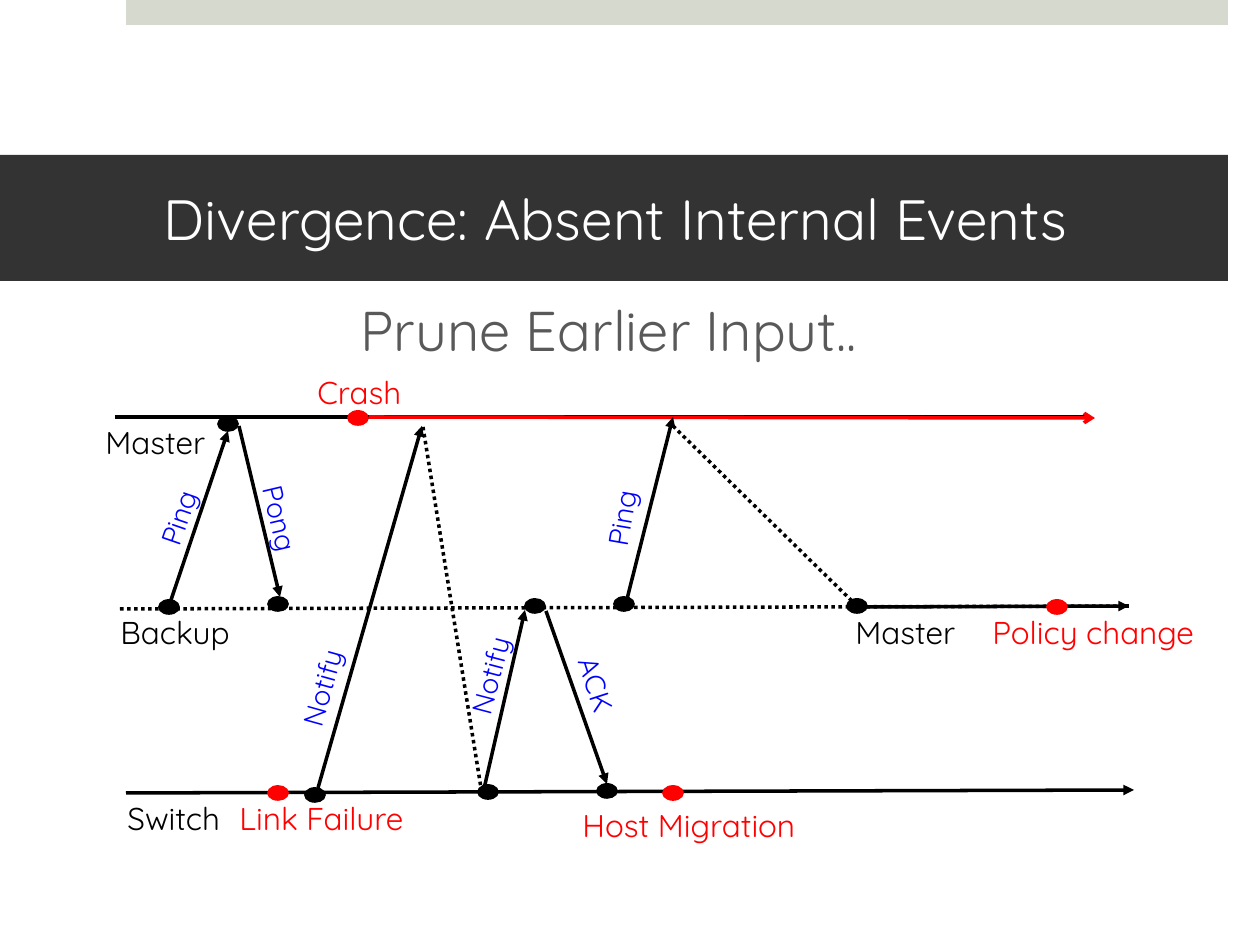
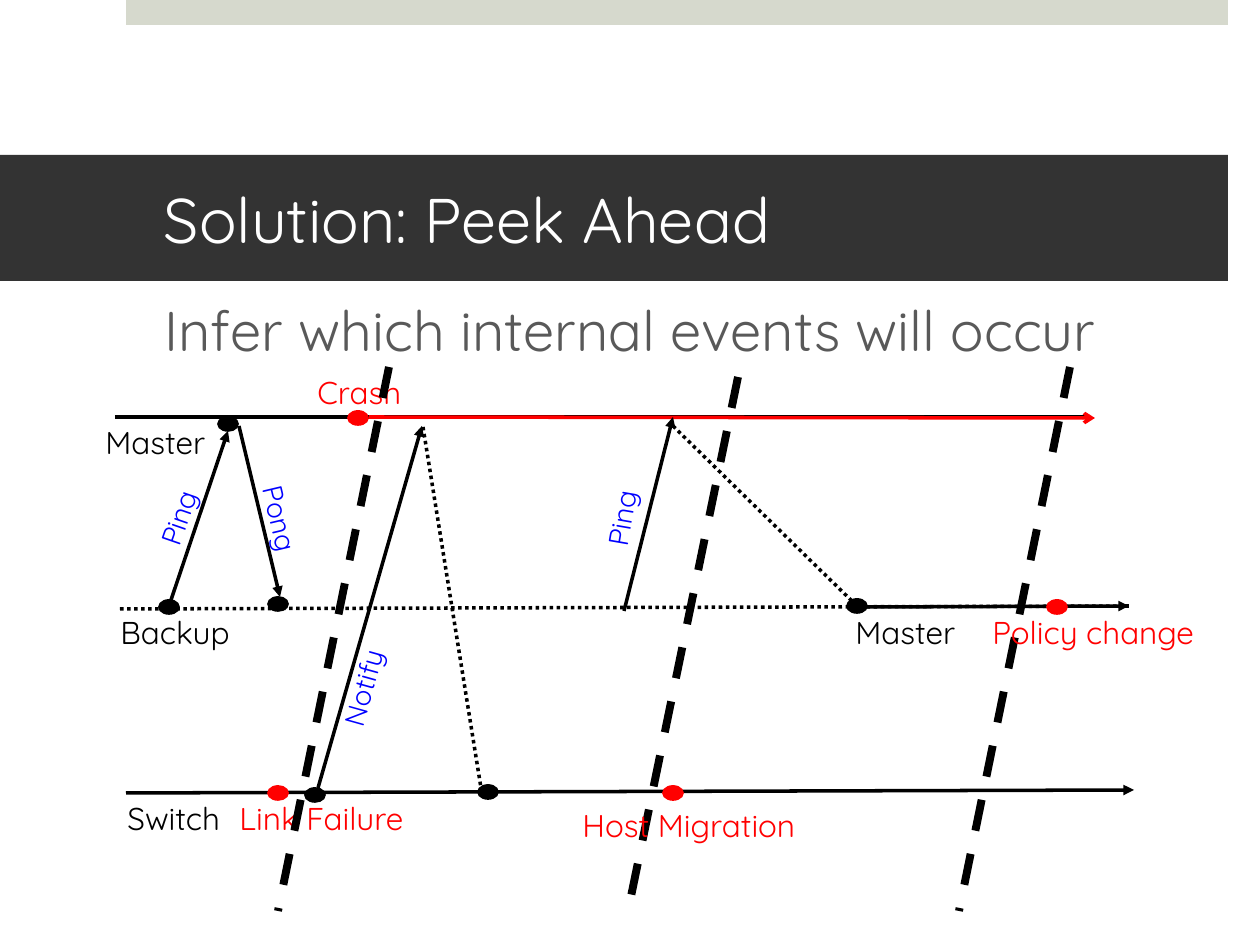
"""Build two slides that show message timelines between a master, a backup and a switch."""
from dataclasses import dataclass

from lxml.etree import SubElement
from pptx import Presentation
from pptx.dml.color import RGBColor as Rgb
from pptx.enum.dml import MSO_LINE as Dash
from pptx.enum.shapes import MSO_CONNECTOR as Connector, MSO_SHAPE as Preset
from pptx.enum.text import MSO_ANCHOR as Anchor, PP_ALIGN as Align
from pptx.oxml.ns import qn
from pptx.util import Pt

PIXEL = 914400 / 126


@dataclass(frozen=True)
class Theme:
    font: str = "Quicksand"
    strip: Rgb = Rgb(0xD6, 0xD9, 0xCD)
    band: Rgb = Rgb(0x33, 0x33, 0x33)
    white: Rgb = Rgb(0xFF, 0xFF, 0xFF)
    subtitle: Rgb = Rgb(0x59, 0x59, 0x59)
    black: Rgb = Rgb(0, 0, 0)
    red: Rgb = Rgb(0xFF, 0, 0)
    blue: Rgb = Rgb(0, 0, 0xFF)
    subtitle_size: float = 32
    label_size: float = 18
    message_size: float = 16
    line_width: float = 2
    cut_width: float = 4.5


theme = Theme()


def write(shape, text, size, color, **frame_format):
    frame = shape.text_frame
    for name, value in frame_format.items():
        setattr(frame, name, value)
    paragraph = frame.paragraphs[0]
    paragraph.alignment = Align.LEFT
    run = paragraph.add_run()
    run.text = text
    for name, value in {"name": theme.font, "size": Pt(size)}.items():
        setattr(run.font, name, value)
    run.font.color.rgb = color


def connect(slide, ends, color=theme.black, width=theme.line_width, dash=None, head=None):
    line = slide.shapes.add_connector(Connector.STRAIGHT, *[round(end * PIXEL) for end in ends])
    line.line.color.rgb = color
    for name, value in {"width": Pt(width), "dash_style": dash}.items():
        setattr(line.line, name, value)
    properties = line.element.spPr
    if head:
        SubElement(properties.find(qn("a:ln")), qn("a:tailEnd"), type=head)
    SubElement(properties, qn("a:effectLst"))


title_format = {
    "word_wrap": True,
    "vertical_anchor": Anchor.MIDDLE,
    "margin_left": round(164 * PIXEL),
    "margin_right": round(38 * PIXEL),
    "margin_top": round(6 * PIXEL),
    "margin_bottom": round(6 * PIXEL),
}

solid = {"head": "triangle"}
dotted = {"dash": Dash.ROUND_DOT}
timelines = [
    ((126, 793, 1134, 790), solid),
    ((115, 417, 1087, 417), {}),
    ((120, 609, 1129, 606), solid | dotted),
    ((369, 417, 1095, 418), {"color": theme.red, "head": "arrow"}),
    ((867, 607, 1129, 606), {}),
]
lost_replies = [(423, 427, 481, 788), (673, 426, 857, 606)]
shared_arrows = [
    (169, 606, 228, 431),
    (239, 426, 280, 597),
    (624, 611, 673, 417),
    (318, 788, 422, 426),
]
shared_messages = [
    ("Ping", 137, 493, 84, 289.1),
    ("Pong", 232, 498, 97, 76.7),
    ("Ping", 580, 493, 84, 279.8),
]
internal_events = [(228, 424), (169, 607), (278, 604), (315, 795), (488, 792), (857, 606)]
external_events = [(278, 793), (358, 418), (673, 793), (1057, 607)]
early_labels = [
    ("Master", 93, 417, 130, theme.black),
    ("Backup", 108, 607, 144, theme.black),
    ("Switch", 115, 793, 125, theme.black),
    ("Crash", 305, 367, 115, theme.red),
    ("Link Failure", 227, 793, 190, theme.red),
]
late_labels = [
    ("Master", 843, 607, 130, theme.black),
    ("Policy change", 980, 607, 247, theme.red),
    ("Host Migration", 570, 800, 246, theme.red),
]

scenes = [
    {
        "title": "Divergence: Absent Internal Events",
        "title_size": 32.4,
        "subtitle": "Prune Earlier Input..",
        "subtitle_box": (348, 289, 880, 127),
        "arrows": [(546, 611, 607, 784), (484, 789, 525, 610)],
        "messages": [
            ("Notify", 270, 663, 105, 285.6),
            ("ACK", 554, 664, 86, 72),
            ("Notify", 438, 651, 105, 284.8),
        ],
        "events": [(624, 604), (607, 791), (535, 606)],
        "cuts": [],
    },
    {
        "title": "Solution: Peek Ahead",
        "title_size": 36,
        "subtitle": "Infer which internal events will occur",
        "subtitle_box": (152, 289, 1100, 127),
        "arrows": [],
        "messages": [("Notify", 311, 663, 105, 285.6)],
        "events": [],
        "cuts": [(389, 367, 278, 911), (738, 377, 627, 916), (1070, 367, 959, 911)],
    },
]

deck = Presentation()
deck.slide_width, deck.slide_height = round(1260 * PIXEL), round(945 * PIXEL)

for scene in scenes:
    slide = deck.slides.add_slide(deck.slide_layouts[6])

    for box, color in [((126, 0, 1102, 25), theme.strip), ((0, 155, 1228, 126), theme.band)]:
        band = slide.shapes.add_shape(Preset.RECTANGLE, *[round(side * PIXEL) for side in box])
        band.shadow.inherit = False
        band.fill.solid()
        band.fill.fore_color.rgb = color
        band.line.fill.background()
    write(band, scene["title"], scene["title_size"], theme.white, **title_format)

    subtitle = slide.shapes.add_textbox(*[round(side * PIXEL) for side in scene["subtitle_box"]])
    write(subtitle, scene["subtitle"], theme.subtitle_size, theme.subtitle, word_wrap=True)

    for ends, line_format in timelines:
        connect(slide, ends, **line_format)
    for ends in lost_replies:
        connect(slide, ends, **dotted)
    for ends in shared_arrows + scene["arrows"]:
        connect(slide, ends, **solid)

    labels = [(*label, 50, 0, theme.label_size) for label in early_labels]
    labels += [
        (text, left, top, width, theme.blue, 47, angle, theme.message_size)
        for text, left, top, width, angle in shared_messages + scene["messages"]
    ]
    late = [(*label, 50, 0, theme.label_size) for label in late_labels]
    for group, cuts in [(labels, scene["cuts"]), (late, [])]:
        for text, left, top, width, color, height, angle, size in group:
            label = slide.shapes.add_textbox(*[round(side * PIXEL) for side in (left, top, width, height)])
            label.rotation = angle
            write(label, text, size, color, word_wrap=False)
        for ends in cuts:
            connect(slide, ends, width=theme.cut_width, dash=Dash.DASH)

    events = [(center, theme.black) for center in internal_events + scene["events"]]
    events += [(center, theme.red) for center in external_events]
    for (x, y), color in events:
        dot = slide.shapes.add_shape(Preset.OVAL, *[round(side * PIXEL) for side in (x - 10, y - 7, 20, 14)])
        dot.shadow.inherit = False
        dot.fill.solid()
        dot.fill.fore_color.rgb = color
        dot.line.color.rgb = color
        dot.line.width = Pt(1)

deck.save("out.pptx")
